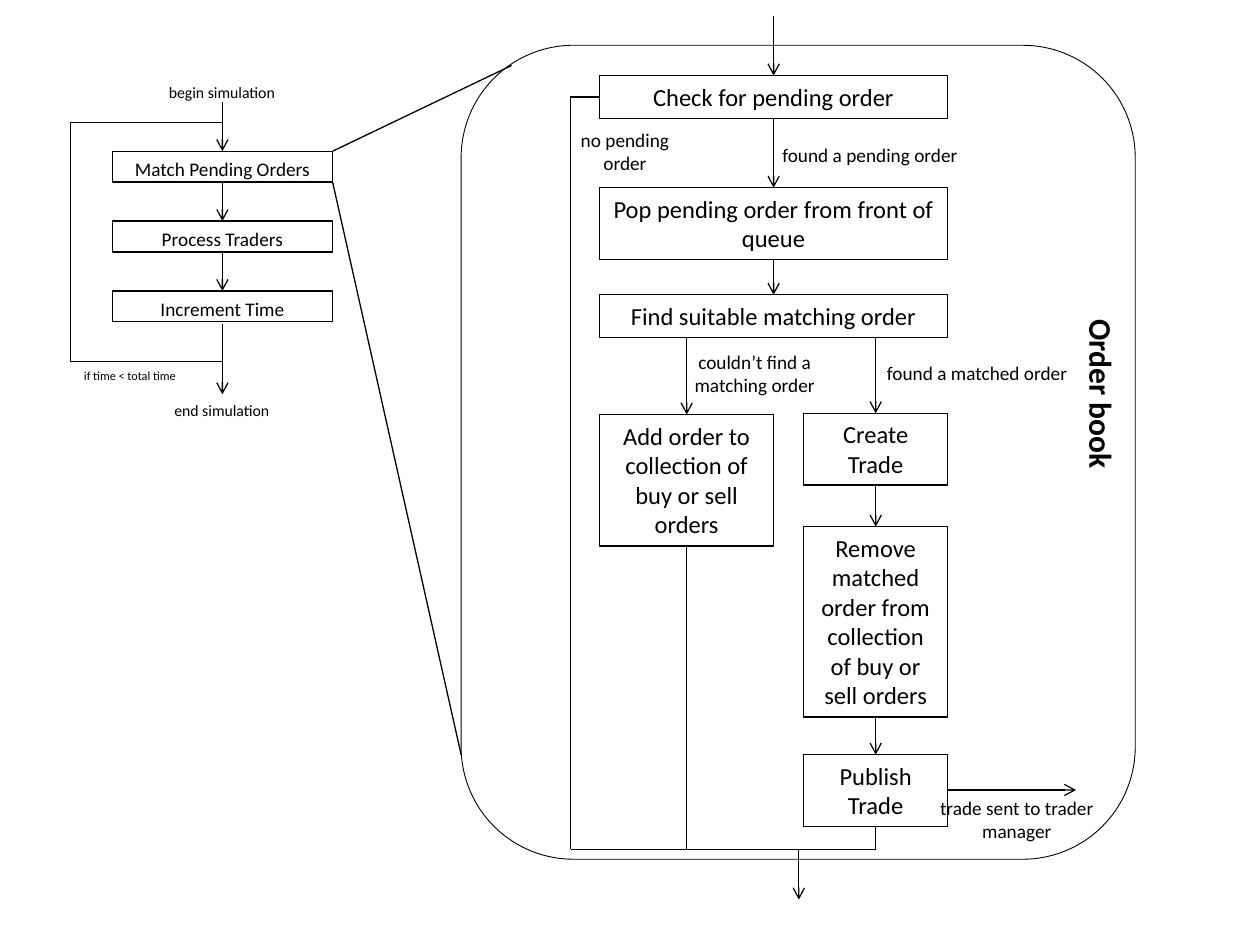
from dataclasses import dataclass
from itertools import pairwise

from lxml import etree
from pptx import Presentation, util as u
from pptx.dml.color import RGBColor
from pptx.enum import shapes, text
from pptx.oxml.ns import qn


@dataclass(frozen=True)
class Theme:
    font: str = "Calibri"
    ink: RGBColor = RGBColor(0, 0, 0)
    line: float = 0.75
    thin: float = 0.5
    tiny: int = 7
    small: int = 9
    body: int = 11
    step: int = 14
    title: int = 18


@dataclass(frozen=True)
class Box:
    """A labelled area, measured in grid cells."""
    label: str
    col: float
    row: float
    cols: float
    rows: float
    size: int

    @property
    def mid(self) -> float:
        return self.col + self.cols / 2

    @property
    def right(self) -> float:
        return self.col + self.cols

    @property
    def bottom(self) -> float:
        return self.row + self.rows


Point = tuple[float, float]
THEME = Theme()
COLS, ROWS = 100, 75
prs = Presentation()
prs.slide_width, prs.slide_height = u.Inches(10), u.Inches(7.5)
s = prs.slides.add_slide(prs.slide_layouts[6])


def x(col: float) -> int:
    return round(prs.slide_width * col / COLS)


def y(row: float) -> int:
    return round(prs.slide_height * row / ROWS)


def area(b: Box) -> tuple[int, int, int, int]:
    return x(b.col), y(b.row), x(b.cols), y(b.rows)


def write(sp, b: Box, bold: bool = False, align=text.PP_ALIGN.CENTER) -> None:
    tf = sp.text_frame
    tf.word_wrap = True
    tf.auto_size = text.MSO_AUTO_SIZE.SHAPE_TO_FIT_TEXT
    tf.vertical_anchor = text.MSO_ANCHOR.TOP
    p = tf.paragraphs[0]
    p.text, p.alignment = b.label, align
    p.font.name, p.font.size, p.font.bold = THEME.font, u.Pt(b.size), bold
    p.font.color.rgb = THEME.ink


def outline(b: Box, kind=shapes.MSO_SHAPE.RECTANGLE, width: float = THEME.line):
    sp = s.shapes.add_shape(kind, *area(b))
    sp.shadow.inherit = False
    sp.fill.background()
    sp.line.color.rgb, sp.line.width = THEME.ink, u.Pt(width)
    return sp


def note(b: Box, **style):
    sp = s.shapes.add_textbox(*area(b))
    write(sp, b, **style)
    return sp


def link(start: Point, end: Point, arrow: bool = False,
         kind=shapes.MSO_CONNECTOR.STRAIGHT):
    c = s.shapes.add_connector(kind, x(start[0]), y(start[1]), x(end[0]), y(end[1]))
    c.line.color.rgb, c.line.width = THEME.ink, u.Pt(THEME.line)
    if arrow:
        etree.SubElement(c.line._get_or_add_ln(), qn("a:tailEnd"), type="arrow")
    etree.SubElement(c._element.spPr, qn("a:effectLst"))
    return c


def drop(col: float, top: float, bottom: float, arrow: bool = True) -> None:
    link((col, top), (col, bottom), arrow)


# Order book frame
book = Box("Order book", 36.6, 3.6, 53.5, 64.6, THEME.title)
outline(book, shapes.MSO_SHAPE.ROUNDED_RECTANGLE, THEME.thin)

# Simulation loop: three evenly spaced steps
LOOP_LEFT, LOOP_TOP, LOOP_END = 5.6, 9.7, 28.7
loop = [Box(label, 8.9, 12 + 5.55 * i, 17.5, 2.45, THEME.body)
        for i, label in enumerate(
            ("Match Pending Orders", "Process Traders", "Increment Time"))]
match, _, increment = loop
spine = match.mid

# Order book steps: a full-width column splitting into two branches
LEFT, RIGHT, WIDE, NARROW = 47.6, 63.8, 27.6, 11.4
check = Box("Check for pending order", LEFT, 6, WIDE, 3.4, THEME.step)
pop = Box("Pop pending order from front of queue", LEFT, 14.9, WIDE, 5.7, THEME.step)
find = Box("Find suitable matching order", LEFT, 23.4, WIDE, 3.4, THEME.step)
add = Box("Add order to collection of buy or sell orders",
          LEFT, 32.9, WIDE / 2, 10.45, THEME.step)
create = Box("Create Trade", RIGHT, 32.8, NARROW, 5.7, THEME.step)
remove = Box("Remove matched order from collection of buy or sell orders",
             RIGHT, 41.8, NARROW, 15.1, THEME.step)
publish = Box("Publish Trade", RIGHT, 59.9, NARROW, 5.7, THEME.step)

for b in (*loop, check, pop, find, add, create, remove, publish):
    write(outline(b), b)

# Arrows from each step to the next
for chain in (loop, (check, pop, find), (create, remove, publish)):
    for a, b in pairwise(chain):
        drop(b.mid, a.bottom, b.row)
for branch in (add, create):
    drop(branch.mid, find.bottom, branch.row)

# Loop entry, return path and exit
drop(spine, 8.1, LOOP_TOP, arrow=False)
drop(spine, LOOP_TOP, match.row)
drop(spine, increment.bottom + 0.2, LOOP_END, arrow=False)
drop(spine, LOOP_END, 31.3)
for a, b in pairwise(((spine, LOOP_END), (LOOP_LEFT, LOOP_END),
                      (LOOP_LEFT, LOOP_TOP), (spine, LOOP_TOP))):
    link(a, b)

# Order book entry, side exit and merge into the final exit
MERGE, BYPASS = 67.4, 45.3
drop(check.mid, 1.3, check.row)
link((publish.right, 62.7), (85.4, 62.7), arrow=True)
bypass = link((check.col, 7.7), (BYPASS, MERGE), kind=shapes.MSO_CONNECTOR.ELBOW)
bypass._element.spPr.find(qn("a:prstGeom")).set("prst", "bentConnector2")
link((BYPASS, MERGE), (publish.mid, MERGE))
for b in (add, publish):
    drop(b.mid, b.bottom, MERGE, arrow=False)
drop(63.4, MERGE, 71.4)

# Zoom lines from the matching step to the order book
link((match.right, match.row), (40.6, 5.2))
link((match.right, match.bottom), (book.col, 59.9))

# Notes beside the arrows
for b in (
    Box("begin simulation", 10.5, 6.1, 14.2, 2.2, THEME.small),
    Box("end simulation", 10.5, 31.3, 14.2, 2.2, THEME.small),
    Box("if time < total time", 3.2, 28.7, 14.2, 1.9, THEME.tiny),
    Box("found a pending order", 58.8, 10.9, 20.5, 2.9, THEME.body),
    Box("found a matched order", 67.3, 28.2, 20.5, 2.9, THEME.body),
    Box("couldn’t find a matching order", 52.4, 27.3, 15, 4.7, THEME.body),
    Box("trade sent to trader manager", 73.6, 62.7, 14.2, 4.7, THEME.body),
    Box("no pending order", 44.5, 9.7, 10.2, 4.7, THEME.body),
):
    note(b)

# Frame title, turned to read downwards
title = note(Box(book.label, 79.4, 30.4, 16.1, 4, book.size),
             bold=True, align=text.PP_ALIGN.LEFT)
title.rotation = 90

prs.save("out.pptx")
